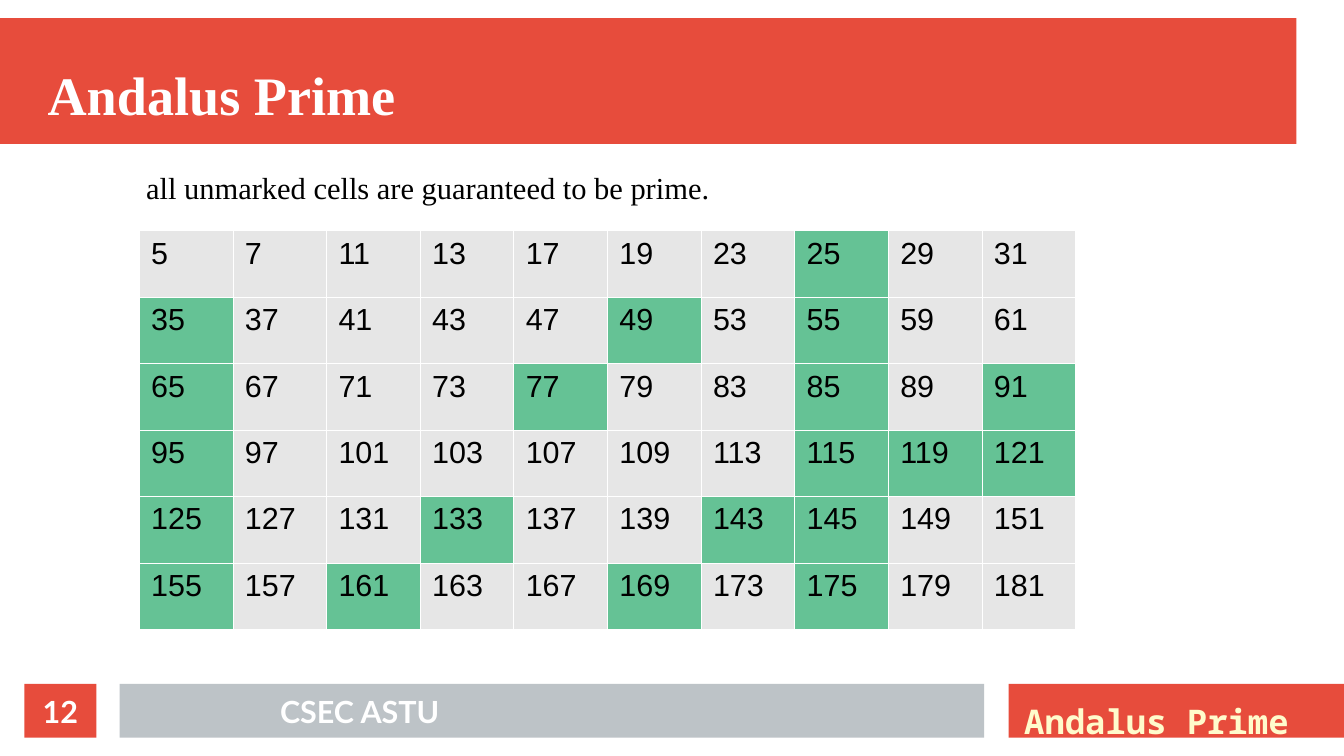
from dataclasses import dataclass

from lxml import etree
from pptx import Presentation
from pptx.dml.color import RGBColor
from pptx.enum import shapes, text
from pptx.oxml import ns
from pptx.util import Inches, Pt

RED, GREY, WHITE, CREAM, BLACK = "E74C3C", "BDC3C7", "FFFFFF", "FFFBCC", "000000"
PLAIN, MARKED = "E6E6E6", "65C295"
ROWS, COLS = 6, 10
LEFT, MIDDLE = text.PP_ALIGN.LEFT, text.PP_ALIGN.CENTER


@dataclass
class Band:
    left: float
    top: float
    width: float
    height: float
    fill: str


@dataclass
class Label:
    words: str
    size: int
    font: str
    color: str
    bold: bool = True
    align: text.PP_ALIGN = LEFT
    anchor: text.MSO_ANCHOR = text.MSO_ANCHOR.TOP
    inset: tuple[float, float] = (0, 0)


@dataclass
class Note:
    left: float
    top: float
    width: float
    height: float
    label: Label


def paint(target, color: str) -> None:
    """Apply a solid colour to a fill."""
    target.solid()
    target.fore_color.rgb = RGBColor.from_string(color)


def write(frame, label: Label) -> None:
    frame.word_wrap = True
    frame.auto_size = text.MSO_AUTO_SIZE.NONE
    frame.vertical_anchor = label.anchor
    frame.margin_left = frame.margin_right = Inches(label.inset[0])
    frame.margin_top = frame.margin_bottom = Inches(label.inset[1])
    style(frame.paragraphs[0], label)


def style(para, label: Label) -> None:
    para.text = label.words
    para.alignment = label.align
    font = para.font
    font.size, font.name, font.bold = Pt(label.size), label.font, label.bold
    paint(font.fill, label.color)


def place(shape, item: Band | Note) -> None:
    shape.left, shape.top = Inches(item.left), Inches(item.top)
    shape.width, shape.height = Inches(item.width), Inches(item.height)


def add_band(slide, band: Band):
    shape = slide.shapes.add_shape(shapes.MSO_SHAPE.RECTANGLE, 0, 0, 0, 0)
    place(shape, band)
    shape.shadow.inherit = False
    paint(shape.fill, band.fill)
    shape.line.fill.background()
    return shape


def add_note(slide, note: Note) -> None:
    box = slide.shapes.add_textbox(0, 0, 0, 0)
    place(box, note)
    write(box.text_frame, note.label)


def edge(cell, color: str, width: float) -> None:
    """Draw all four borders, which must precede the fill in the XML."""
    props = cell._tc.get_or_add_tcPr()
    for spot, side in enumerate(("lnL", "lnR", "lnT", "lnB")):
        line = etree.Element(ns.qn(f"a:{side}"), w=str(int(Pt(width))))
        fill = etree.SubElement(line, ns.qn("a:solidFill"))
        etree.SubElement(fill, ns.qn("a:srgbClr"), val=color)
        props.insert(spot, line)


def is_prime(num: int) -> bool:
    return all(num % div for div in range(2, int(num**0.5) + 1))


def add_grid(slide) -> None:
    """Fill the grid with 6k - 1 and 6k + 1, marking the composites."""
    frame = slide.shapes.add_table(
        ROWS, COLS, Inches(1.14), Inches(1.89), Inches(7.68), Inches(3.27)
    )
    grid = frame.table
    grid.first_row = grid.horz_banding = False
    nums = [6 * k + step for k in range(1, ROWS * COLS // 2 + 1) for step in (-1, 1)]
    for cell, num in zip(grid.iter_cells(), nums):
        paint(cell.fill, PLAIN if is_prime(num) else MARKED)
        edge(cell, WHITE, 0.06)
        label = Label(str(num), 18, "Arial", BLACK, bold=False)
        style(cell.text_frame.paragraphs[0], label)


def main() -> None:
    deck = Presentation()
    deck.slide_width, deck.slide_height = Inches(11.02), Inches(6.2)
    slide = deck.slides.add_slide(deck.slide_layouts[5])

    for band in (
        Band(0, 0.15, 10.63, 1.03, RED),
        Band(8.27, 5.61, 2.76, 0.44, RED),
        Band(0.98, 5.61, 7.09, 0.44, GREY),
    ):
        add_band(slide, band)

    serif, center = "Times New Roman", text.MSO_ANCHOR.MIDDLE
    head = Label("Andalus Prime", 32, serif, WHITE, anchor=text.MSO_ANCHOR.BOTTOM)
    title = slide.shapes.title
    place(title, Note(0.39, 0.3, 10.24, 0.74, head))
    write(title.text_frame, head)
    title.element.getparent().append(title.element)  # in front of the bands

    pad = (0.1, 0.05)
    brand = Label("Andalus Prime", 20, "Noto Sans Mono", CREAM, inset=pad)
    hint = Label("all unmarked cells are guaranteed to be prime.", 18, serif, BLACK,
                 bold=False, inset=pad)
    club = Label("CSEC ASTU", 18, "Lato", WHITE, align=MIDDLE, anchor=center)
    page = Label("12", 18, "Lato", WHITE, align=MIDDLE, anchor=center)

    add_note(slide, Note(8.3, 5.7, 2.6, 0.42, brand))
    add_grid(slide)
    add_note(slide, Note(1.1, 1.34, 8.67, 0.44, hint))
    add_note(slide, Note(1.18, 5.61, 3.54, 0.44, club))
    badge = add_band(slide, Band(0.2, 5.61, 0.59, 0.44, RED))
    write(badge.text_frame, page)
    deck.save("out.pptx")


if __name__ == "__main__":
    main()
